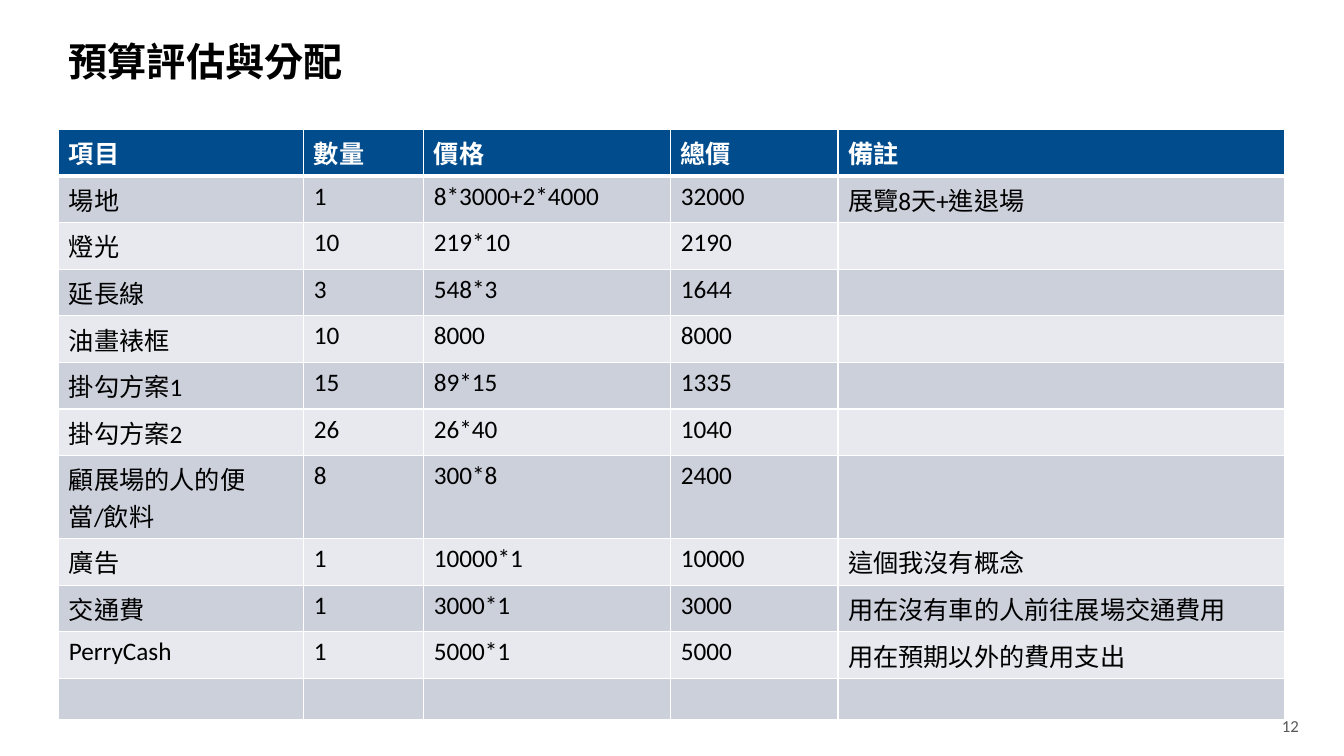
from pptx import Presentation
from pptx.dml.color import RGBColor
from pptx.enum.lang import MSO_LANGUAGE_ID as Lang
from pptx.enum.text import MSO_ANCHOR as Anchor
from pptx.oxml import parse_xml
from pptx.oxml.ns import nsdecls
from pptx.util import Pt

WHITE = RGBColor(0xFF, 0xFF, 0xFF)
BLACK = RGBColor(0x00, 0x00, 0x00)
GRAY = RGBColor(0x59, 0x59, 0x59)
NAVY = RGBColor(0x00, 0x4C, 0x8D)
BANDS = (RGBColor(0xE7, 0xE9, 0xEE), RGBColor(0xCC, 0xD0, 0xDB))

COLS = (175, 85.7, 176.4, 119.5, 319)
ROW = 29.2
BUDGET = (
    ("項目", "數量", "價格", "總價", "備註"),
    ("場地", "1", "8*3000+2*4000", "32000", "展覽8天+進退場"),
    ("燈光", "10", "219*10", "2190", ""),
    ("延長線", "3", "548*3", "1644", ""),
    ("油畫裱框", "10", "8000", "8000", ""),
    ("掛勾方案1", "15", "89*15", "1335", ""),
    ("掛勾方案2", "26", "26*40", "1040", ""),
    ("顧展場的人的便當/飲料", "8", "300*8", "2400", ""),
    ("廣告", "1", "10000*1", "10000", "這個我沒有概念"),
    ("交通費", "1", "3000*1", "3000", "用在沒有車的人前往展場交通費用"),
    ("PerryCash", "1", "5000*1", "5000", "用在預期以外的費用支出"),
    ("", "", "", "", ""),
)


class Page:
    font = "Calibri"

    def __init__(self, deck):
        self.slide = deck.slides.add_slide(deck.slide_layouts[6])

    def style(self, frame, size, color, bold=False):
        for para in frame.paragraphs:
            for run in para.runs:
                font = run.font
                font.name, font.size, font.bold = self.font, Pt(size), bold
                font.color.rgb = color
                font.language_id = Lang.TRADITIONAL_CHINESE

    def text(self, words, box, size, color, bold=False):
        frame = self.slide.shapes.add_textbox(*map(Pt, box)).text_frame
        frame.word_wrap = True
        frame.vertical_anchor = Anchor.MIDDLE
        frame.text = words
        self.style(frame, size, color, bold)

    def border(self, cell, top, bottom):
        props = cell._tc.get_or_add_tcPr()
        for side, width in zip("LRTB", (1, 1, top, bottom)):
            props.append(parse_xml(
                f'<a:ln{side} {nsdecls("a")} w="{Pt(width)}"><a:solidFill>'
                f'<a:srgbClr val="{WHITE}"/></a:solidFill></a:ln{side}>'))

    def table(self, rows, cols, left, top, high):
        grid = self.slide.shapes.add_table(
            len(rows), len(cols), Pt(left), Pt(top),
            Pt(sum(cols)), Pt(high * len(rows))).table
        for col, width in zip(grid.columns, cols):
            col.width = Pt(width)
        for i, row in enumerate(rows):
            grid.rows[i].height = Pt(high)
            head = i == 0
            for j, words in enumerate(row):
                cell = grid.cell(i, j)
                self.border(cell, 3 if i == 1 else 1, 3 if head else 1)
                cell.fill.solid()
                cell.fill.fore_color.rgb = NAVY if head else BANDS[i % 2]
                cell.text_frame.text = words
                self.style(cell.text_frame, 18, WHITE if head else BLACK, head)


def main():
    deck = Presentation()
    deck.slide_width, deck.slide_height = Pt(960), Pt(540)
    page = Page(deck)
    page.table(BUDGET, COLS, 42, 92.5, ROW)
    page.text("12", (908.6, 507.6, 51, 22), 12, GRAY)
    page.text("預算評估與分配", (42, 21.6, 877, 44), 28, BLACK, True)
    deck.save("out.pptx")


if __name__ == "__main__":
    main()
